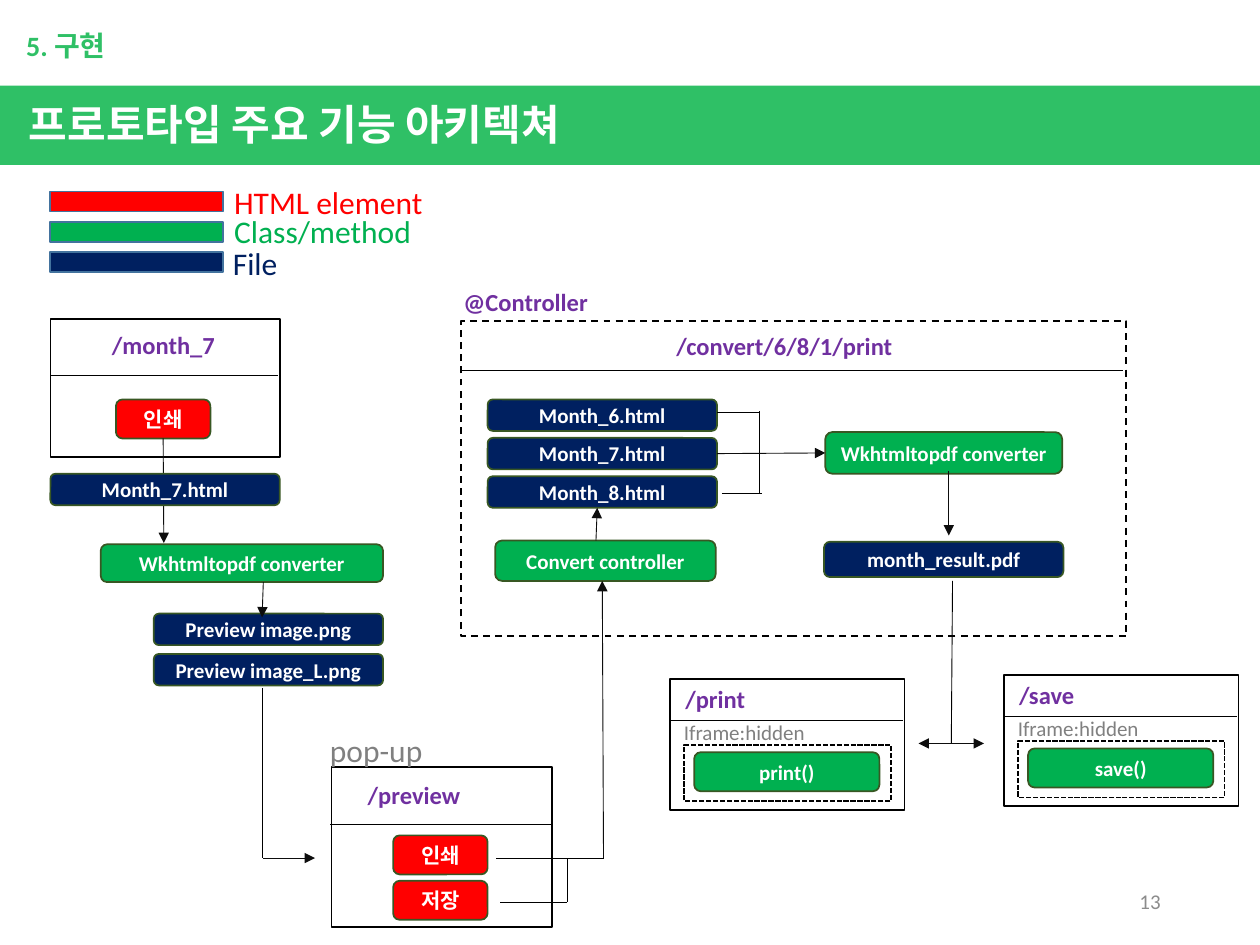
from dataclasses import dataclass

from lxml import etree
from pptx import Presentation
from pptx.dml.color import RGBColor
from pptx.enum.dml import MSO_LINE
from pptx.enum.shapes import MSO_CONNECTOR, MSO_SHAPE
from pptx.enum.text import MSO_ANCHOR, MSO_AUTO_SIZE, PP_ALIGN
from pptx.oxml.ns import qn
from pptx.util import Inches, Pt

RECT, ROUND = MSO_SHAPE.RECTANGLE, MSO_SHAPE.ROUNDED_RECTANGLE
STRAIGHT = MSO_CONNECTOR.STRAIGHT
DASH, SHORT_DASH = MSO_LINE.DASH, MSO_LINE.SQUARE_DOT
MIDDLE = MSO_ANCHOR.MIDDLE
LEFT, CENTER, RIGHT = PP_ALIGN.LEFT, PP_ALIGN.CENTER, PP_ALIGN.RIGHT
LEFT_SIDE, BOTTOM_SIDE, RIGHT_SIDE = 1, 2, 3


@dataclass(frozen=True)
class Theme:
    brand: str = "2FC066"
    white: str = "FFFFFF"
    black: str = "000000"
    arrow: str = "0D0D0D"
    element: str = "FF0000"
    method: str = "00B050"
    file: str = "002060"
    button_edge: str = "385723"
    legend_edge: str = "43739E"
    route: str = "7030A0"
    gray: str = "808080"
    number: str = "8C8C8C"
    latin: str = "Calibri"
    korean: str = "Noto Sans CJK KR"
    title: int = 24
    large: int = 18
    section: int = 16
    heading: int = 14
    small: int = 12


theme = Theme()
deck = Presentation()
deck.slide_width, deck.slide_height = Inches(10), Inches(7.5)
page = deck.slides.add_slide(deck.slide_layouts[6])


def write(box, text, size, color, bold=False, align=LEFT, font=theme.latin):
    para = box.text_frame.paragraphs[0]
    para.alignment = align
    span = para.add_run()
    span.text = text
    span.font.name, span.font.size, span.font.bold = font, Pt(size), bold
    span.font.color.rgb = RGBColor.from_string(color)
    east_asian = etree.SubElement(span.font._element, qn("a:ea"))
    east_asian.set("typeface", theme.korean)


def add_box(kind, at, fill=None, edge=None, dash=None, text=None):
    box = page.shapes.add_shape(kind, *map(Inches, at))
    box.shadow.inherit = False
    if fill:
        box.fill.solid()
        box.fill.fore_color.rgb = RGBColor.from_string(fill)
    else:
        box.fill.background()
    if edge:
        box.line.color.rgb = RGBColor.from_string(edge)
        box.line.width = Pt(1)
        box.line.dash_style = dash
    else:
        box.line.fill.background()
    if text:
        box.text_frame.word_wrap = False
        box.text_frame.vertical_anchor = MIDDLE
        write(box, text, theme.small, theme.white, True, CENTER)
    return box


# Title band and page frames
add_box(RECT, (0, 0.68, 10, 0.63), theme.brand)
add_box(RECT, (0.4, 2.53, 1.82, 1.1), theme.white, theme.black)
add_box(RECT, (3.66, 2.55, 5.28, 2.5), theme.white, theme.black, DASH)
add_box(RECT, (2.63, 6.09, 1.75, 1.27), theme.white, theme.black)

# Each label: position, text, size, colour, bold, wrap
labels = [
    ((0.11, 0.18, 7.22, 0.37), "5. 구현", theme.section, theme.brand, True, True),
    ((3.58, 2.23, 4.53, 0.34), "@Controller", theme.heading, theme.route, True, True),
    ((0.79, 2.57, 1.03, 0.34), "/month_7", theme.heading, theme.route, True, False),
    ((5.27, 2.58, 1.93, 0.34), "/convert/6/8/1/print", theme.heading, theme.route, True, False),
    ((2.82, 6.14, 0.94, 0.34), "/preview", theme.heading, theme.route, True, False),
    ((2.52, 5.75, 0.95, 0.4), "pop-up", theme.large, theme.gray, False, False),
]

# Dividers under the frame headings: left, right, height
dividers = [(0.4, 2.21, 2.98), (3.66, 8.91, 2.94), (2.62, 4.38, 6.54)]

# Legend
legend = [
    ("HTML element", theme.element, 1.52, (1.76, 1.4, 1.72, 0.4)),
    ("Class/method", theme.method, 1.76, (1.76, 1.63, 1.62, 0.4)),
    ("File", theme.file, 2, (1.75, 1.89, 0.57, 0.4)),
]
for name, color, top, label_at in legend:
    add_box(RECT, (0.4, top, 1.37, 0.16), color, theme.legend_edge)
    labels.append((label_at, name, theme.large, color, False, False))

# Output panels with a hidden iframe
for name, left, top, width in [("print", 5.32, 5.39, 0.68), ("save", 7.97, 5.36, 0.64)]:
    add_box(RECT, (left, top, 1.86, 1.04), theme.white, theme.black)
    add_box(RECT, (left + 0.11, top + 0.52, 1.64, 0.45), None, theme.black, SHORT_DASH)
    add_box(ROUND, (left + 0.19, top + 0.58, 1.47, 0.31), theme.method,
            theme.button_edge, text=f"{name}()")
    dividers.append((left, left + 1.85, top + 0.33))
    labels += [
        ((left + 0.02, top - 0.01, width, 0.34), f"/{name}", theme.heading, theme.route, True, False),
        ((left + 0.01, top + 0.27, 1.17, 0.3), "Iframe:hidden", theme.small, theme.gray, False, False),
    ]

# Elements, methods and files
print_button = add_box(ROUND, (0.92, 3.17, 0.75, 0.31), theme.element,
                       theme.button_edge, text="인쇄")
converter = add_box(ROUND, (6.55, 3.43, 1.88, 0.33), theme.method,
                    theme.button_edge, text="Wkhtmltopdf converter")
months = [
    add_box(ROUND, (3.87, 3.17 + 0.305 * row, 1.82, 0.25), theme.file,
            theme.button_edge, text=f"Month_{6 + row}.html")
    for row in range(3)
]
for text, color, at in [
    ("인쇄", theme.element, (3.12, 6.63, 0.75, 0.31)),
    ("저장", theme.element, (3.12, 6.99, 0.75, 0.31)),
    ("Wkhtmltopdf converter", theme.method, (0.8, 4.32, 2.24, 0.3)),
    ("Convert controller", theme.method, (3.93, 4.29, 1.75, 0.32)),
    ("Preview image.png", theme.file, (1.22, 4.87, 1.82, 0.25)),
    ("Preview image_L.png", theme.file, (1.22, 5.19, 1.82, 0.25)),
    ("month_result.pdf", theme.file, (6.54, 4.3, 1.9, 0.28)),
]:
    add_box(ROUND, at, color, theme.button_edge, text=text)

# Lines and arrows: ends, arrowheads, joined start, joined end
lines = [((left, y, right, y), (), None, None) for left, right, y in dividers]
lines += [
    ((1.3, 3.48, 1.3, 4.31), ("tailEnd",), (print_button, BOTTOM_SIDE), None),
    ((2.09, 4.62, 2.08, 4.9), ("tailEnd",), None, None),
    ((2.08, 5.46, 2.08, 6.81), (), None, None),
    ((2.09, 6.81, 2.5, 6.81), ("tailEnd",), None, None),
    ((3.94, 6.81, 4.79, 6.81), (), None, None),
    ((3.97, 7.16, 4.5, 7.16), (), None, None),
    ((4.5, 7.16, 4.5, 6.81), (), None, None),
    ((4.78, 4.61, 4.79, 6.81), ("headEnd",), None, None),
    ((4.73, 4.29, 4.74, 4.03), ("tailEnd",), None, None),
    ((5.69, 3.27, 6.03, 3.27), (), None, None),
    ((5.73, 3.92, 6.05, 3.92), (), None, None),
    ((6.03, 3.92, 6.03, 3.26), (), None, None),
    ((5.69, 3.6, 6.55, 3.6), ("tailEnd",), (months[1], RIGHT_SIDE), (converter, LEFT_SIDE)),
    ((7.53, 3.74, 7.53, 4.25), ("tailEnd",), None, None),
    ((7.56, 4.61, 7.55, 5.9), (), None, None),
    ((7.29, 5.9, 7.81, 5.9), ("headEnd", "tailEnd"), None, None),
]
for ends, heads, start, finish in lines:
    line = page.shapes.add_connector(STRAIGHT, *map(Inches, ends))
    line.line.color.rgb = RGBColor.from_string(theme.arrow if heads else theme.black)
    line.line.width = Pt(0.5)
    for head in heads:
        etree.SubElement(line.line._get_or_add_ln(), qn(f"a:{head}")).set("type", "triangle")
    etree.SubElement(line._element.spPr, qn("a:effectLst"))
    if start:
        line.begin_connect(*start)
    if finish:
        line.end_connect(*finish)

# The month file sits over its arrow
add_box(ROUND, (0.4, 3.76, 1.82, 0.25), theme.file, theme.button_edge, text="Month_7.html")

# Labels, title and page number
for at, text, size, color, bold, wrap in labels:
    box = page.shapes.add_textbox(*map(Inches, at))
    box.text_frame.word_wrap = wrap
    box.text_frame.auto_size = MSO_AUTO_SIZE.SHAPE_TO_FIT_TEXT
    write(box, text, size, color, bold)
title = page.shapes.add_textbox(Inches(0.13), Inches(0.73), Inches(7.22), Inches(0.5))
title.text_frame.word_wrap = True
write(title, "프로토타입 주요 기능 아키텍쳐", theme.title, theme.white, True, font=theme.korean)
number = page.shapes.add_textbox(Inches(7.06), Inches(6.95), Inches(2.25), Inches(0.4))
number.text_frame.word_wrap = True
number.text_frame.vertical_anchor = MIDDLE
write(number, "13", theme.small, theme.number, align=RIGHT)

deck.save("out.pptx")
